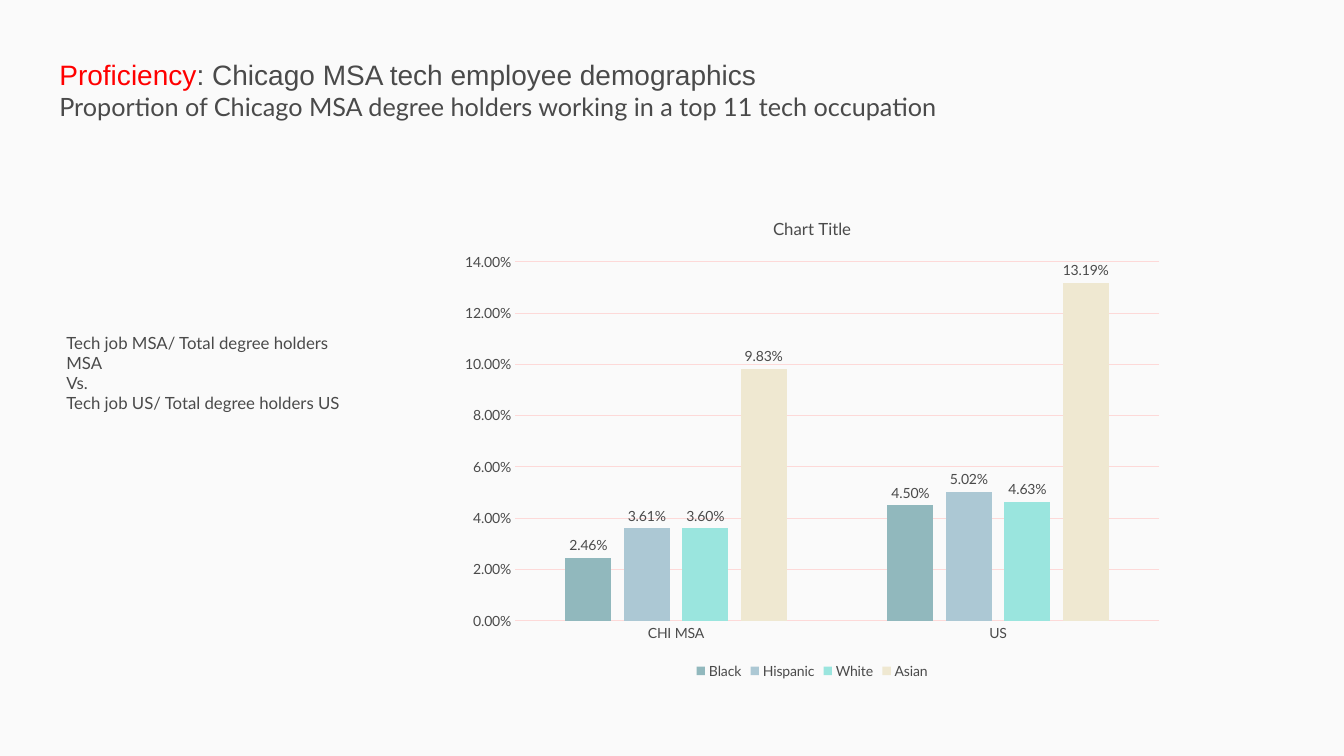
from pptx import Presentation
from pptx.chart.data import CategoryChartData
from pptx.dml.color import RGBColor
from pptx.enum.chart import XL_CHART_TYPE, XL_LABEL_POSITION, XL_LEGEND_POSITION, XL_TICK_MARK
from pptx.enum.shapes import MSO_SHAPE
from pptx.util import Inches, Pt

BACKGROUND = "FAFAFA"
INK = "4A4A4A"
RED = "FF0000"
GRID = "FDD9D8"
PERCENT = "0.00%"
CATEGORIES = ["CHI MSA", "US"]
SERIES = [
    ("Black", (0.0246, 0.045), "91B8BD"),
    ("Hispanic", (0.0361, 0.0502), "ACC8D4"),
    ("White", (0.036, 0.0463), "9AE5DE"),
    ("Asian", (0.0983, 0.1319), "EFE8D1"),
]
HEADING = [
    [("Proficiency", 20, "Arial", RED),
     (": Chicago MSA tech employee demographics", 20, "Arial", INK)],
    [("Proportion of Chicago MSA degree holders working in a top 11 tech occupation",
      18, "Lato", INK)],
]
RATIO_NOTE = [
    [(line, 12, "Lato", INK)]
    for line in ("Tech job MSA/ Total degree holders MSA", "Vs.",
                 "Tech job US/ Total degree holders US")
]


def color(hex_string):
    """Turn a hex string into a colour."""
    return RGBColor.from_string(hex_string)


def style_font(font, size, name, hex_string):
    """Set the size, typeface and colour of a font."""
    font.size = Pt(size)
    font.name = name
    font.bold = False
    font.color.rgb = color(hex_string)


def add_backdrop(slide, box):
    """Fill the slide background and lay the backdrop panel over it."""
    slide.background.fill.solid()
    slide.background.fill.fore_color.rgb = color(BACKGROUND)
    shape = slide.shapes.add_shape(MSO_SHAPE.RECTANGLE, *map(Inches, box))
    shape.shadow.inherit = False
    shape.fill.solid()
    shape.fill.fore_color.rgb = color(BACKGROUND)
    shape.line.color.rgb = color(BACKGROUND)
    shape.line.width = Pt(1)


def add_text(slide, box, paragraphs):
    """Place a wrapped text box made of paragraphs of styled runs."""
    frame = slide.shapes.add_textbox(*map(Inches, box)).text_frame
    frame.word_wrap = True
    for index, runs in enumerate(paragraphs):
        paragraph = frame.add_paragraph() if index else frame.paragraphs[0]
        for text, size, name, hex_string in runs:
            run = paragraph.add_run()
            run.text = text
            style_font(run.font, size, name, hex_string)


def style_axes(chart):
    """Format the category and value axes."""
    for axis in (chart.category_axis, chart.value_axis):
        axis.major_tick_mark = XL_TICK_MARK.NONE
        axis.minor_tick_mark = XL_TICK_MARK.NONE
        style_font(axis.tick_labels.font, 10, "Lato", INK)
    value_axis = chart.value_axis
    value_axis.minimum_scale = 0
    value_axis.maximum_scale = 0.14
    value_axis.major_unit = 0.02
    value_axis.tick_labels.number_format = PERCENT
    value_axis.tick_labels.number_format_is_linked = False
    value_axis.format.line.fill.background()
    value_axis.has_major_gridlines = True
    for line in (chart.category_axis.format.line, value_axis.major_gridlines.format.line):
        line.color.rgb = color(GRID)
        line.width = Pt(0.75)


def style_columns(plot):
    """Colour the columns and label them with their values."""
    plot.gap_width = 219
    plot.overlap = -27
    plot.vary_by_categories = False
    for series, (_, _, fill) in zip(plot.series, SERIES):
        series.format.fill.solid()
        series.format.fill.fore_color.rgb = color(fill)
        series.invert_if_negative = False
        labels = series.data_labels
        labels.show_value = True
        labels.position = XL_LABEL_POSITION.OUTSIDE_END
        labels.number_format = PERCENT
        labels.number_format_is_linked = False
        style_font(labels.font, 10, "Lato", INK)


def add_share_chart(slide, box):
    """Place the clustered column chart of tech shares by group."""
    data = CategoryChartData(number_format=PERCENT)
    data.categories = CATEGORIES
    for name, values, _ in SERIES:
        data.add_series(name, values)
    chart = slide.shapes.add_chart(
        XL_CHART_TYPE.COLUMN_CLUSTERED, *map(Inches, box), data).chart
    style_font(chart.font, 10, "Lato", INK)
    chart.has_title = True
    run = chart.chart_title.text_frame.paragraphs[0].add_run()
    run.text = "Chart Title"
    style_font(run.font, 12, "Lato", INK)
    chart.chart_title.include_in_layout = False
    chart.has_legend = True
    chart.legend.position = XL_LEGEND_POSITION.BOTTOM
    chart.legend.include_in_layout = False
    style_font(chart.legend.font, 10, "Lato", INK)
    style_axes(chart)
    style_columns(chart.plots[0])


def main():
    """Build the slide and save it."""
    presentation = Presentation()
    presentation.slide_width = Inches(13.33)
    presentation.slide_height = Inches(7.5)
    slide = presentation.slides.add_slide(presentation.slide_layouts[6])
    add_backdrop(slide, (0, 0, 13.33, 7.5))
    add_text(slide, (0.49, 0.52, 12.22, 0.74), HEADING)
    add_text(slide, (0.56, 3.25, 2.97, 0.71), RATIO_NOTE)
    add_share_chart(slide, (4.47, 1.97, 7.17, 4.81))
    presentation.save("out.pptx")


if __name__ == "__main__":
    main()
